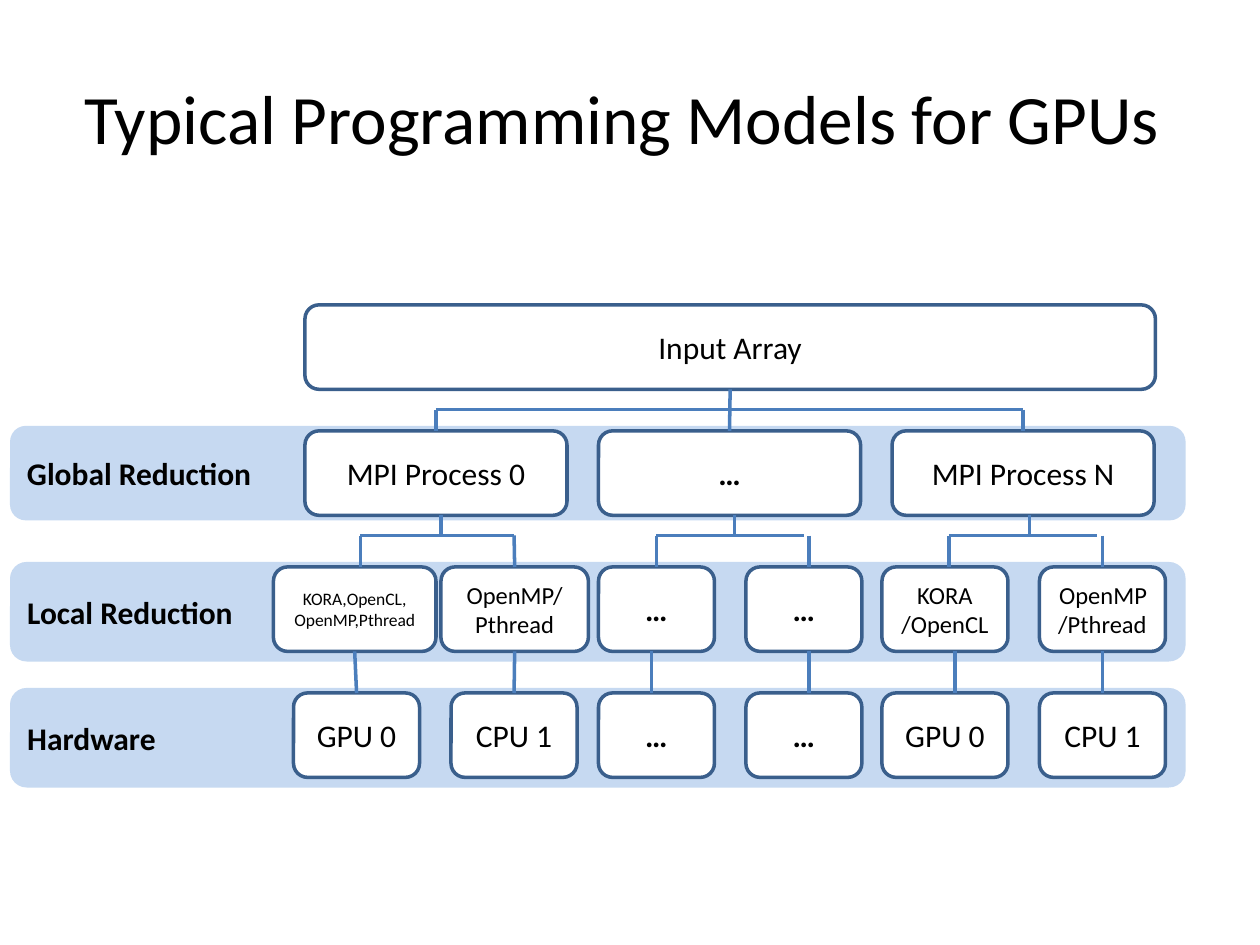
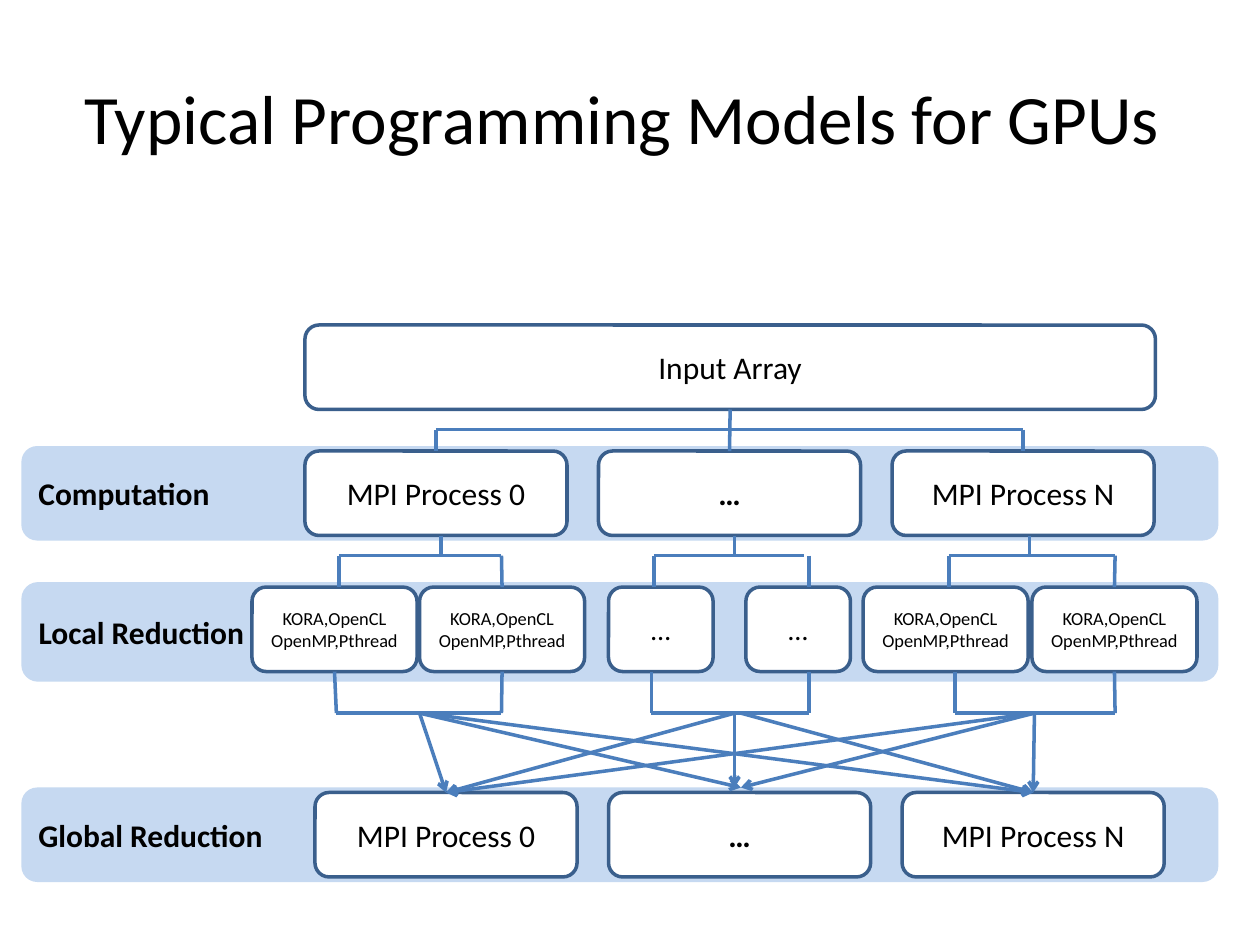
"""Build two slides on typical programming models for GPUs."""
import lxml.etree
import pptx
import pptx.dml.color
import pptx.enum.shapes
import pptx.enum.text
import pptx.oxml.ns
import pptx.util

Inches = pptx.util.Inches
hex_color = pptx.dml.color.RGBColor.from_string
qn = pptx.oxml.ns.qn

BAND, BOX, OUTLINE, LINE, TEXT = "C6D9F1", "FFFFFF", "3A5F8C", "4B7EBC", "000000"
TITLE = "Typical Programming Models for GPUs "
ROW_HEIGHT = 0.67
PROCESSES = ["MPI Process 0", "…", "MPI Process N"]
PROCESS_WIDTH, PROCESS_PITCH = 2.08, 2.33
STEMS = [3.5, 5.83, 8.17]
JOIN_TOLERANCE = Inches(0.02)


def add_box(slide, label, left, top, width, height=ROW_HEIGHT, size=18, band=False):
    shape = slide.shapes.add_shape(
        pptx.enum.shapes.MSO_SHAPE.ROUNDED_RECTANGLE,
        Inches(left), Inches(top), Inches(width), Inches(height))
    shape.shadow.inherit = False
    shape.fill.solid()
    shape.fill.fore_color.rgb = hex_color(BAND if band else BOX)
    if band:
        shape.line.fill.background()
    else:
        shape.line.color.rgb = hex_color(OUTLINE)
        shape.line.width = pptx.util.Pt(2)
    shape.text_frame.word_wrap = True
    shape.text_frame.vertical_anchor = pptx.enum.text.MSO_ANCHOR.MIDDLE
    paragraph = shape.text_frame.paragraphs[0]
    paragraph.text = label
    align = pptx.enum.text.PP_ALIGN
    paragraph.alignment = align.LEFT if band else align.CENTER
    paragraph.font.name = "Calibri"
    paragraph.font.size = pptx.util.Pt(size)
    paragraph.font.bold = band or (label == "…" and size == 18)
    paragraph.font.color.rgb = hex_color(TEXT)


def add_line(slide, start_x, start_y, end_x, end_y, arrow=False):
    boxes = [shape for shape in slide.shapes
             if shape.shape_type == pptx.enum.shapes.MSO_SHAPE_TYPE.AUTO_SHAPE]
    connector = slide.shapes.add_connector(
        pptx.enum.shapes.MSO_CONNECTOR.STRAIGHT,
        Inches(start_x), Inches(start_y), Inches(end_x), Inches(end_y))
    connector.line.color.rgb = hex_color(LINE)
    connector.line.width = pptx.util.Pt(2)
    properties = connector.element.spPr
    if arrow:
        outline = properties.find(qn("a:ln"))
        lxml.etree.SubElement(outline, qn("a:tailEnd"), type="arrow")
    lxml.etree.SubElement(properties, qn("a:effectLst"))
    ends = [(start_x, start_y, connector.begin_connect), (end_x, end_y, connector.end_connect)]
    for x, y, connect in ends:
        for box in boxes:
            for site, side_y in [(0, box.top), (2, box.top + box.height)]:
                offset_x = abs(Inches(x) - box.left - box.width / 2)
                if max(offset_x, abs(Inches(y) - side_y)) <= JOIN_TOLERANCE:
                    connect(box, site)


presentation = pptx.Presentation()
presentation.slide_width = Inches(10)
presentation.slide_height = Inches(7.5)

ALL_MODELS = "KORA,OpenCL OpenMP,Pthread"
models = [
    {
        "top": 2.42, "band": (0.08, 9.33), "names": ["Global Reduction", "Local Reduction"],
        "local": [("KORA,OpenCL, OpenMP,Pthread", 2.17, 1.29, 10), ("OpenMP/Pthread", 3.5, 1.17, 14),
                  ("…", 4.75, 0.92, 18), ("…", 5.92, 0.92, 18),
                  ("KORA /OpenCL", 7, 1, 14), ("OpenMP/Pthread", 8.25, 1, 14)],
        "forks": [(2.86, 4.08, 4.08), (5.21, 6.38, 6.42), (7.53, 8.71, 8.75)],
        "legs": [(2.81, 2.83), (4.08, 4.08), (5.17, 5.17), (6.42, 6.42), (7.58, 7.58), (8.75, 8.75)],
    },
    {
        "top": 2.58, "band": (0.17, 9.5), "names": ["Computation", "Local Reduction"],
        "local": [(ALL_MODELS, 2, 1.31, 10.5), (ALL_MODELS, 3.33, 1.31, 10.5),
                  ("…", 4.83, 0.83, 16), ("…", 5.92, 0.83, 16),
                  (ALL_MODELS, 6.85, 1.31, 10.5), (ALL_MODELS, 8.19, 1.31, 10.5)],
        "forks": [(2.69, 3.98, 3.98), (5.19, 6.38, 6.42), (7.53, 8.85, 8.85)],
        "legs": [(2.66, 2.67), (3.98, 3.98), (5.17, 5.17), (6.42, 6.42), (7.58, 7.58), (8.85, 8.85)],
    },
]

for model in models:
    slide = presentation.slides.add_slide(presentation.slide_layouts[6])
    title = slide.shapes.add_textbox(Inches(0.5), Inches(0.3), Inches(9), Inches(1.25))
    title.text_frame.word_wrap = True
    title.text_frame.vertical_anchor = pptx.enum.text.MSO_ANCHOR.MIDDLE
    paragraph = title.text_frame.paragraphs[0]
    paragraph.text = TITLE
    paragraph.alignment = pptx.enum.text.PP_ALIGN.CENTER
    paragraph.font.name = "Calibri"
    paragraph.font.size = pptx.util.Pt(39.6)
    paragraph.font.color.rgb = hex_color(TEXT)

    top = model["top"]
    band_left, band_width = model["band"]
    process_top, local_top = top + 1, top + 2.08
    process_bus, local_bus = top + 0.83, top + 1.83
    leg_top, leg_bottom = local_top + ROW_HEIGHT, top + 3.08

    for name, offset, height in zip(model["names"], [0.96, 2.04], [0.75, 0.79]):
        add_box(slide, name, band_left, top + offset, band_width, height, band=True)
    add_box(slide, "Input Array", 2.42, top, 6.75)
    for index, process in enumerate(PROCESSES):
        add_box(slide, process, 2.42 + index * PROCESS_PITCH, process_top, PROCESS_WIDTH)
    for label, left, width, size in model["local"]:
        add_box(slide, label, left, local_top, width, size=size)

    if model is models[0]:
        add_box(slide, "Hardware", band_left, top + 3.04, band_width, 0.79, band=True)
        devices = ["GPU 0", "CPU 1", "…", "…", "GPU 0", "CPU 1"]
        lefts = [2.33, 3.58, 4.75, 5.92, 7, 8.25]
        for device, left in zip(devices, lefts):
            add_box(slide, device, left, leg_bottom, 0.92 if device == "…" else 1)
    else:
        add_box(slide, "Global Reduction", band_left, 6.25, band_width, 0.75, band=True)
        for index, process in enumerate(PROCESSES):
            add_box(slide, process, 2.5 + index * PROCESS_PITCH, 6.29, PROCESS_WIDTH)

    add_line(slide, 3.46, process_bus, 8.12, process_bus)
    add_line(slide, 5.79, top + ROW_HEIGHT, 5.79, process_top)
    for x in [3.46, 8.12]:
        add_line(slide, x, process_bus, x, process_top)
    for stem, (left_drop, bus_end, right_drop) in zip(STEMS, model["forks"]):
        add_line(slide, stem, process_top + ROW_HEIGHT, stem, local_bus)
        add_line(slide, left_drop, local_bus, bus_end, local_bus)
        for drop in [left_drop, right_drop]:
            add_line(slide, drop, local_bus, drop, local_top)
    for leg_start, leg_end in model["legs"]:
        add_line(slide, leg_start, leg_top, leg_end, leg_bottom)

    if model is models[1]:
        for left, right in [(2.67, 3.98), (5.17, 6.42), (7.58, 8.85)]:
            add_line(slide, left, leg_bottom, right, leg_bottom)
        exchanges = [(3.33, 3.54), (3.33, 5.88), (3.35, 8.21),
                     (5.83, 3.54), (5.83, 5.83), (5.88, 8.21),
                     (8.21, 3.54), (8.21, 5.88), (8.21, 8.21)]
        for start, end in exchanges:
            end_y = 6.25 if end in (5.83, 5.88) else 6.29
            add_line(slide, start, leg_bottom, end, end_y, arrow=True)

presentation.save("out.pptx")
